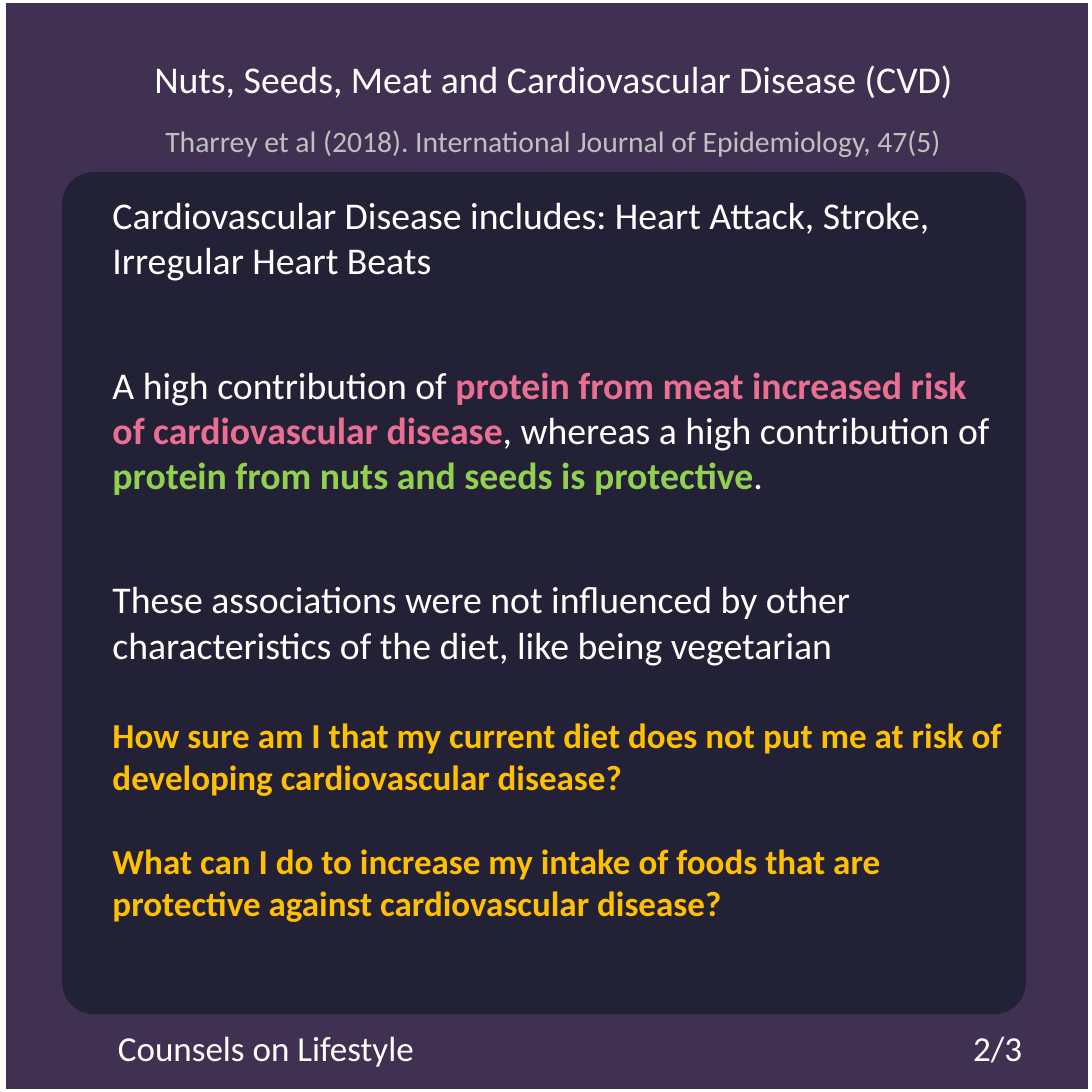
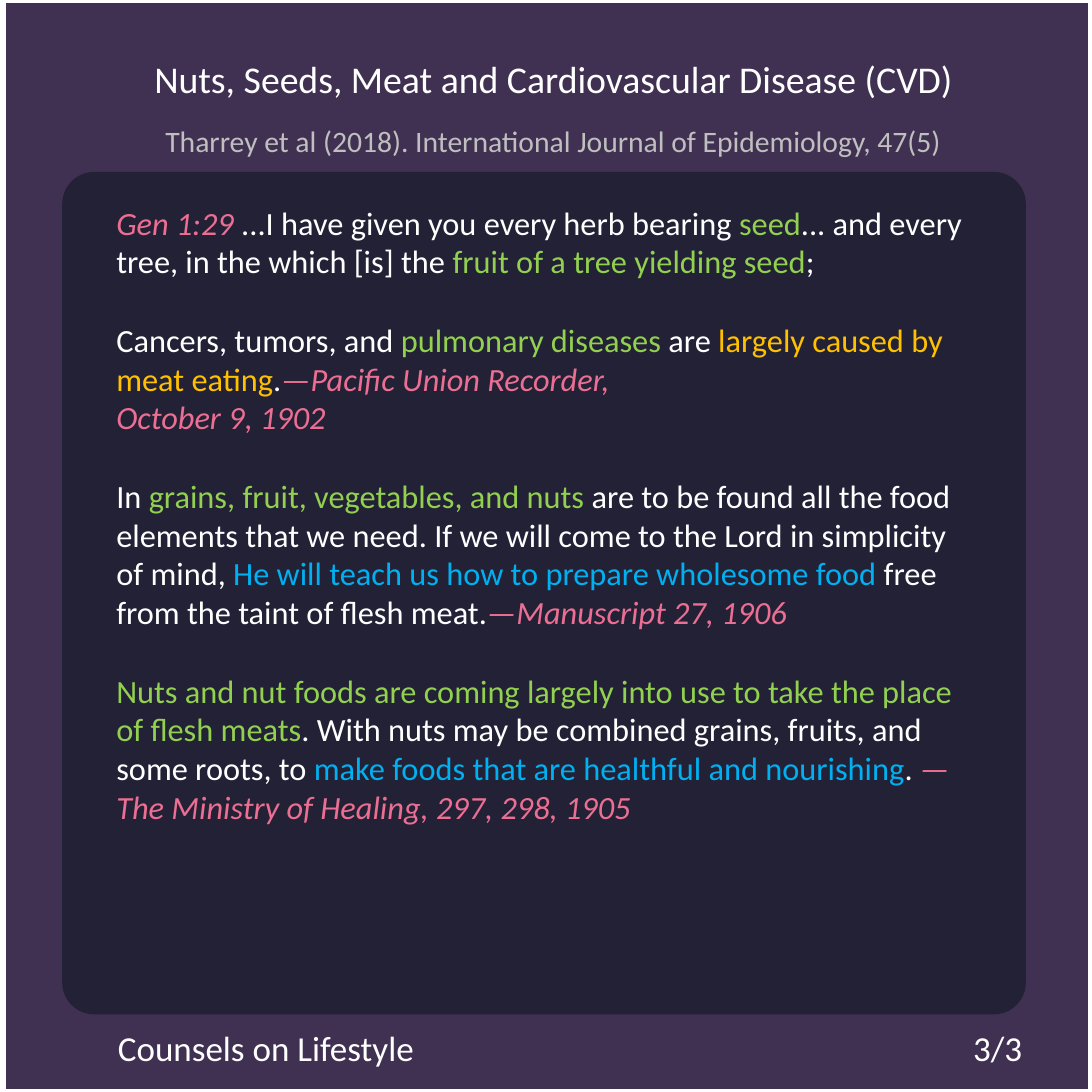
import dataclasses
import typing

import lxml.etree
import pptx
import pptx.dml.color
import pptx.enum.shapes
import pptx.enum.text
import pptx.oxml.ns
import pptx.shapes.autoshape
import pptx.slide
import pptx.text.text
import pptx.util

PURPLE = pptx.dml.color.RGBColor(0x40, 0x31, 0x52)
NIGHT = pptx.dml.color.RGBColor(0x23, 0x21, 0x36)
WHITE = pptx.dml.color.RGBColor(0xFF, 0xFF, 0xFF)
GREY = pptx.dml.color.RGBColor(0xBF, 0xBF, 0xBF)
PINK = pptx.dml.color.RGBColor(0xEB, 0x6F, 0x92)
GREEN = pptx.dml.color.RGBColor(0x92, 0xD0, 0x50)
AMBER = pptx.dml.color.RGBColor(0xFF, 0xC0, 0x00)
BLUE = pptx.dml.color.RGBColor(0x00, 0xB0, 0xF0)

FONT = "Calibri"
SIDE = 28.58
LINE_HEIGHT = 1.22
CAPTION_SPACING = 61.6
CAPTION_HEIGHT = 2.18
FOOTER_TOP = 25.78


class Box(typing.NamedTuple):
    left: float
    top: float
    width: float
    height: float

    def lengths(self) -> list[pptx.util.Length]:
        return [pptx.util.Cm(value) for value in self]


class Span(typing.NamedTuple):
    text: str
    color: pptx.dml.color.RGBColor = WHITE
    bold: bool = False
    italic: bool = False


@dataclasses.dataclass(frozen=True)
class Caption:
    text: str
    box: Box
    size: float
    color: pptx.dml.color.RGBColor = WHITE


@dataclasses.dataclass(frozen=True)
class Passage:
    spans: list[Span]
    size: float
    gap: float = 0

    def space_before(self) -> float:
        return round(self.gap * LINE_HEIGHT, 1)


@dataclasses.dataclass(frozen=True)
class Page:
    number: str
    body_box: Box
    passages: list[Passage]


PANEL = Box(1.63, 4.5, 25.22, 22.05)
FRAME = Box(0.08, 0, 28.47, SIDE)
PAGE_NUMBER_BOX = Box(24.36, FOOTER_TOP, 3.51, CAPTION_HEIGHT)
TITLE = Caption(
    "Nuts, Seeds, Meat and Cardiovascular Disease (CVD)",
    Box(-0.81, 0.46, 30.58, CAPTION_HEIGHT), 28)
CITATION = Caption(
    "Tharrey et al (2018). International Journal of Epidemiology, 47(5)",
    Box(-0.23, 1.98, 29.41, CAPTION_HEIGHT), 22, GREY)
SERIES = Caption(
    "Counsels on Lifestyle", Box(1.4, FOOTER_TOP, 11.13, CAPTION_HEIGHT), 26)

PAGES = [
    Page("2/3", Box(2.69, 4.89, 23.88, 20), [
        Passage([Span("Cardiovascular Disease includes: Heart Attack, Stroke, "
                      "Irregular Heart Beats")], 28),
        Passage([
            Span("A high contribution of "),
            Span("protein from meat increased risk of cardiovascular disease",
                 PINK, bold=True),
            Span(", whereas a high contribution of "),
            Span("protein from nuts and seeds is protective", GREEN, bold=True),
            Span("."),
        ], 28, gap=48),
        Passage([Span("These associations were not influenced by other "
                      "characteristics of the diet, like being vegetarian")],
                28, gap=48),
        Passage([Span("How sure am I that my current diet does not put me at "
                      "risk of developing cardiovascular disease?",
                      AMBER, bold=True)], 26, gap=28),
        Passage([Span("What can I do to increase my intake of foods that are "
                      "protective against cardiovascular disease?",
                      AMBER, bold=True)], 26, gap=26),
    ]),
    Page("3/3", Box(2.79, 5.18, 23.09, 19.56), [
        Passage([
            Span("Gen 1:29 ", PINK, italic=True),
            Span("...I have given you every herb bearing "),
            Span("seed", GREEN),
            Span("... and every tree, in the which [is] the "),
            Span("fruit of a tree yielding seed", GREEN),
            Span(";"),
        ], 24),
        Passage([
            Span("Cancers, tumors, and "),
            Span("pulmonary diseases", GREEN),
            Span(" are "),
            Span("largely caused by meat eating", AMBER),
            Span("."),
            Span("—Pacific Union Recorder,", PINK, italic=True),
        ], 24, gap=24),
        Passage([Span("October 9, 1902", PINK, italic=True)], 24),
        Passage([
            Span("In "),
            Span("grains, fruit, vegetables, and nuts", GREEN),
            Span(" are to be found all the food elements that we need. If we "
                 "will come to the Lord in simplicity of mind, "),
            Span("He will teach us how to prepare wholesome food ", BLUE),
            Span("free from the taint of flesh meat."),
            Span("—Manuscript 27, 1906", PINK, italic=True),
        ], 24, gap=24),
        Passage([
            Span("Nuts and nut foods are coming largely into use to take the "
                 "place of flesh meats", GREEN),
            Span(". With nuts may be combined grains, fruits, and some roots, to "),
            Span("make foods that are healthful and nourishing", BLUE),
            Span(". "),
            Span("—The Ministry of Healing, 297, 298, 1905", PINK, italic=True),
        ], 24, gap=24),
    ]),
]


def place(shape: pptx.shapes.autoshape.Shape, box: Box) -> None:
    shape.left, shape.top, shape.width, shape.height = box.lengths()


def prepare_frame(shape: pptx.shapes.autoshape.Shape) -> pptx.text.text.TextFrame:
    text_frame = shape.text_frame
    text_frame.word_wrap = True
    text_frame.auto_size = pptx.enum.text.MSO_AUTO_SIZE.NONE
    text_frame.vertical_anchor = pptx.enum.text.MSO_ANCHOR.TOP
    return text_frame


def add_span(paragraph: pptx.text.text._Paragraph, span: Span, size: float) -> None:
    run = paragraph.add_run()
    run.text = span.text
    run.font.name = FONT
    run.font.size = pptx.util.Pt(size)
    run.font.color.rgb = span.color
    run.font.bold = span.bold
    run.font.italic = span.italic


def write_caption(shape: pptx.shapes.autoshape.Shape, caption: Caption) -> None:
    place(shape, caption.box)
    text_frame = prepare_frame(shape)
    text_frame.margin_left = text_frame.margin_right = 0
    text_frame.margin_top = text_frame.margin_bottom = 0
    paragraph = text_frame.paragraphs[0]
    paragraph.alignment = pptx.enum.text.PP_ALIGN.CENTER
    paragraph.line_spacing = pptx.util.Pt(CAPTION_SPACING)
    add_span(paragraph, Span(caption.text, caption.color), caption.size)


def remove_bullet(paragraph: pptx.text.text._Paragraph) -> None:
    properties = paragraph._p.get_or_add_pPr()
    properties.set("marL", "0")
    properties.set("indent", "0")
    lxml.etree.SubElement(properties, pptx.oxml.ns.qn("a:buNone"))


def write_body(shape: pptx.shapes.autoshape.Shape, page: Page) -> None:
    place(shape, page.body_box)
    text_frame = prepare_frame(shape)
    for index, passage in enumerate(page.passages):
        paragraph = text_frame.add_paragraph() if index else text_frame.paragraphs[0]
        paragraph.space_before = pptx.util.Pt(passage.space_before())
        remove_bullet(paragraph)
        for span in passage.spans:
            add_span(paragraph, span, passage.size)


def add_panel(slide: pptx.slide.Slide) -> None:
    panel = slide.shapes.add_shape(
        pptx.enum.shapes.MSO_SHAPE.ROUNDED_RECTANGLE, *PANEL.lengths())
    panel.adjustments[0] = 0.038
    panel.shadow.inherit = False
    panel.fill.solid()
    panel.fill.fore_color.rgb = NIGHT
    panel.line.fill.background()
    panel.element.getparent().insert(2, panel.element)


def add_frame(slide: pptx.slide.Slide) -> None:
    frame = slide.shapes.add_shape(
        pptx.enum.shapes.MSO_SHAPE.RECTANGLE, *FRAME.lengths())
    frame.shadow.inherit = False
    frame.fill.background()
    frame.line.color.rgb = WHITE
    frame.line.width = pptx.util.Pt(4.5)


def build_slide(presentation: pptx.presentation.Presentation, page: Page) -> None:
    slide = presentation.slides.add_slide(presentation.slide_layouts[1])
    add_panel(slide)
    write_caption(slide.shapes.title, TITLE)
    write_body(slide.placeholders[1], page)
    for caption in (CITATION, Caption(page.number, PAGE_NUMBER_BOX, 26), SERIES):
        write_caption(slide.shapes.add_textbox(*caption.box.lengths()), caption)
    add_frame(slide)


def main() -> None:
    presentation = pptx.Presentation()
    presentation.slide_width = presentation.slide_height = pptx.util.Cm(SIDE)
    background = presentation.slide_master.background.fill
    background.solid()
    background.fore_color.rgb = PURPLE
    for page in PAGES:
        build_slide(presentation, page)
    presentation.save("out.pptx")


if __name__ == "__main__":
    main()
